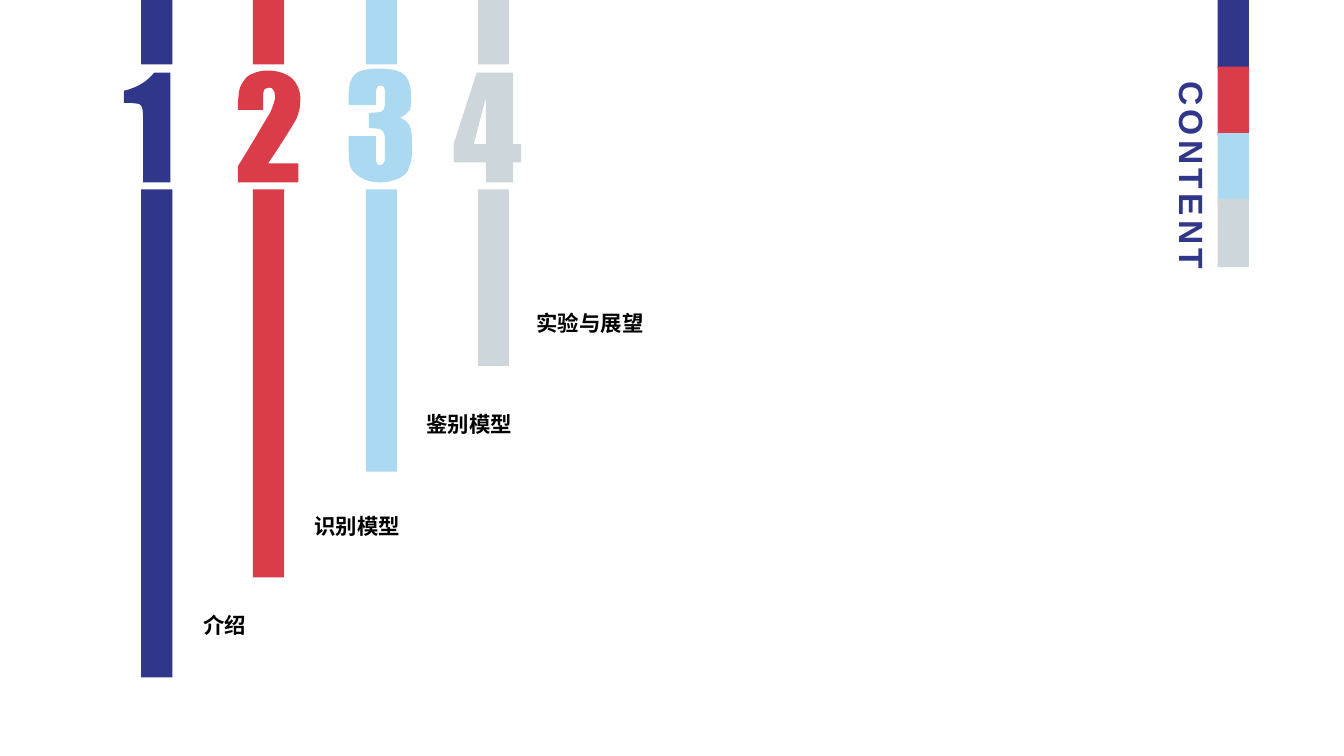
import lxml.etree
import pptx
import pptx.util
import pptx.dml.color
import pptx.enum.shapes
import pptx.enum.text
import pptx.oxml.ns

PX = 9144  # one px is a hundredth of an inch

NAVY = pptx.dml.color.RGBColor(0x30, 0x36, 0x89)
RED = pptx.dml.color.RGBColor(0xDA, 0x3C, 0x49)
SKY = pptx.dml.color.RGBColor(0xAC, 0xD9, 0xF2)
GREY = pptx.dml.color.RGBColor(0xCD, 0xD7, 0xDB)
BLACK = pptx.dml.color.RGBColor(0, 0, 0)
WHITE = pptx.dml.color.RGBColor(255, 255, 255)

FONT = "Arial"
BAR_WIDTH = 31
BAR_LEFT, BAR_STEP = 140, 111.4
LEGEND_LEFT, LEGEND_STEP, LEGEND_HEIGHT = 1208, 65.8, 68

# Digit outlines: pairs are line ends, sixes are two Bezier handles and an end
ONE = [[
    (153, 72), (169, 72), (169, 181), (142, 181), (142, 122),
    (142, 114, 142, 109, 141, 107), (141, 106, 140, 104, 138, 103),
    (136, 103, 132, 102, 126, 102), (123, 102), (123, 90),
    (136, 87, 146, 81, 153, 72),
]]
TWO = [[
    (266, 70), (276, 70, 284, 73, 290, 78), (295, 83, 298, 90, 298, 98),
    (298, 105, 297, 111, 294, 118), (290, 125, 281, 140, 266, 162),
    (296, 162), (296, 181), (236, 181), (236, 165),
    (254, 136, 264, 118, 268, 112), (271, 105, 273, 99, 273, 96),
    (273, 93, 272, 90, 271, 89), (270, 87, 269, 87, 267, 87),
    (265, 87, 263, 88, 262, 89), (261, 91, 261, 94, 261, 99),
    (261, 109), (236, 109), (236, 105),
    (236, 99, 237, 94, 237, 91), (238, 87, 239, 84, 242, 80),
    (244, 77, 247, 74, 251, 73), (255, 71, 260, 70, 266, 70),
]]
THREE = [[
    (375, 68), (388, 68, 397, 70, 402, 75), (406, 80, 408, 87, 408, 96),
    (408, 103, 408, 107, 406, 110), (404, 112, 401, 115, 397, 117),
    (401, 118, 404, 121, 406, 124), (408, 127, 409, 134, 409, 146),
    (409, 155, 408, 161, 406, 166), (405, 171, 401, 174, 396, 177),
    (391, 179, 385, 181, 378, 181), (369, 181, 362, 179, 358, 176),
    (353, 173, 349, 170, 348, 166), (346, 162, 346, 154, 346, 144),
    (346, 135), (373, 135), (373, 153),
    (373, 158, 373, 161, 374, 162), (374, 163, 375, 164, 377, 164),
    (379, 164, 381, 163, 381, 161), (382, 160, 382, 156, 382, 149),
    (382, 141), (382, 137, 382, 134, 381, 132),
    (380, 130, 379, 129, 377, 128), (375, 128, 371, 127, 366, 127),
    (366, 112), (373, 112, 377, 111, 378, 111),
    (380, 110, 381, 109, 381, 108), (382, 106, 382, 103, 382, 100),
    (382, 94), (382, 90, 382, 88, 381, 86),
    (380, 85, 379, 85, 378, 85), (376, 85, 374, 85, 374, 87),
    (373, 88, 373, 91, 373, 95), (373, 104), (346, 104), (346, 94),
    (346, 84, 348, 77, 353, 73), (357, 70, 365, 68, 375, 68),
]]
FOUR = [
    [(473, 72), (509, 72), (509, 143), (517, 143), (517, 161), (509, 161),
     (509, 181), (482, 181), (482, 161), (450, 161), (450, 143), (473, 72)],
    [(482, 97), (470, 143), (482, 143), (482, 97)],
]

# Colour, bar height, digit, label, label left, label top
SECTIONS = [
    (NAVY, 672, ONE, "介绍", 192, 605),
    (RED, 573, TWO, "识别模型", 302, 507),
    (SKY, 468, THREE, "鉴别模型", 413, 406),
    (GREY, 363, FOUR, "实验与展望", 522, 305),
]


def px(*lengths):
    return [round(length * PX) for length in lengths]


def paint(shape, color):
    shape.shadow.inherit = False
    shape.fill.solid()
    shape.fill.fore_color.rgb = color
    shape.line.fill.background()


def add_block(page, left, top, width, height, color):
    kind = pptx.enum.shapes.MSO_SHAPE.RECTANGLE
    paint(page.shapes.add_shape(kind, *px(left, top, width, height)), color)


def bend(shape, segments):
    """Give the segments that have Bezier handles their curve."""
    qn = pptx.oxml.ns.qn
    lines = list(shape._element.iter(qn("a:lnTo")))
    for line, segment in zip(lines, segments):
        if len(segment) == 2:
            continue
        curve = lxml.etree.Element(qn("a:cubicBezTo"))
        for x, y in zip(segment[::2], segment[1::2]):
            point = lxml.etree.SubElement(curve, qn("a:pt"))
            point.set("x", str(x * PX - shape.left))
            point.set("y", str(y * PX - shape.top))
        line.getparent().replace(line, curve)


def add_digit(page, contours, color):
    builder = page.shapes.build_freeform(*contours[0][0], scale=PX)
    for index, (start, *segments) in enumerate(contours):
        if index:
            builder.move_to(*start)
        builder.add_line_segments([end[-2:] for end in segments], close=True)
    shape = builder.convert_to_shape()
    scale_outline(shape)
    bend(shape, [segment for contour in contours for segment in contour[1:]])
    paint(shape, color)


def scale_outline(shape):
    """Count the outline in EMU instead of px."""
    qn = pptx.oxml.ns.qn
    outline = next(shape._element.iter(qn("a:path")))
    outline.set("w", str(shape.width))
    outline.set("h", str(shape.height))
    for point in outline.iter(qn("a:pt")):
        for axis in ("x", "y"):
            point.set(axis, str(int(point.get(axis)) * PX))


def add_text(page, text, left, top, width, height, size, color):
    box = page.shapes.add_textbox(*px(left, top, width, height))
    box.text_frame.word_wrap = True
    para = box.text_frame.paragraphs[0]
    para.text = text
    para.font.name = FONT
    para.font.size = pptx.util.Pt(size)
    para.font.bold = True
    para.font.color.rgb = color
    return box


def add_label(page, text, left, top):
    box = add_text(page, text, left, top, 151, 30, 15.3, BLACK)
    box.text_frame.vertical_anchor = pptx.enum.text.MSO_ANCHOR.MIDDLE


def add_vertical_title(page, text):
    box = add_text(page, text, 1057, 71, 151, 213, 24, NAVY)
    box.text_frame._txBody.bodyPr.set("vert", "eaVert")
    span = box.text_frame.paragraphs[0].runs[0]
    span._r.get_or_add_rPr().set("spc", "300")


def main():
    deck = pptx.Presentation()
    deck.slide_width, deck.slide_height = px(1333.33, 750)
    page = deck.slides.add_slide(deck.slide_layouts[6])

    # Hanging bars, cut by a white band behind the digits
    for index, (color, height, *_) in enumerate(SECTIONS):
        left = round(BAR_LEFT + index * BAR_STEP)
        add_block(page, left, 0, BAR_WIDTH, height, color)
    add_block(page, 111, 64, 437, 124, WHITE)

    # Section labels, then digits
    for *_, label, left, top in SECTIONS:
        add_label(page, label, left, top)
    for color, _, digit, *_ in SECTIONS:
        add_digit(page, digit, color)

    # Title and colour strip on the right
    add_vertical_title(page, "CONTENT")
    for index, (color, *_) in enumerate(SECTIONS):
        add_block(page, LEGEND_LEFT, round(index * LEGEND_STEP),
                  BAR_WIDTH, LEGEND_HEIGHT, color)

    deck.save("out.pptx")


if __name__ == "__main__":
    main()
